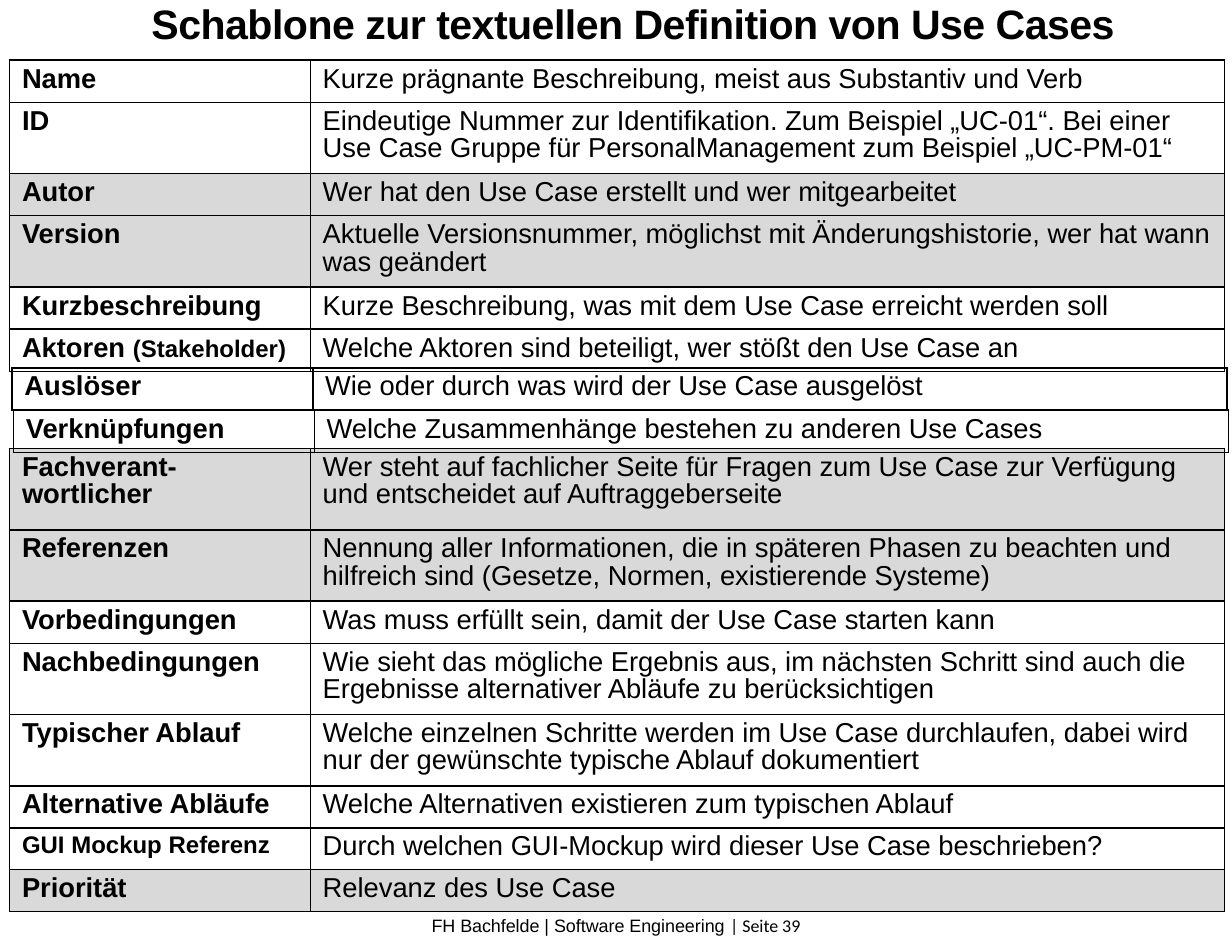
from dataclasses import dataclass

from lxml import etree
from pptx import Presentation
from pptx.dml.color import RGBColor
from pptx.enum.text import MSO_ANCHOR, MSO_AUTO_SIZE, PP_ALIGN
from pptx.oxml.ns import qn
from pptx.util import Cm, Pt

CENTER = PP_ALIGN.CENTER
TOP = MSO_ANCHOR.TOP
NO_AUTOFIT = MSO_AUTO_SIZE.NONE
TITLE_ONLY = 5


@dataclass(frozen=True)
class Theme:
    font: str = "Arial"
    page_font: str = "Calibri"
    ink: RGBColor = RGBColor(0, 0, 0)
    shade: RGBColor = RGBColor(0xD9, 0xD9, 0xD9)
    title: float = 24
    body: float = 16
    small: float = 14
    footer: float = 10.5
    border: float = 1


THEME = Theme()

# Table geometry in centimetres
COLUMNS = (6.2, 18.85)
ONE_LINE, TWO_LINES, TALL = 0.87, 1.47, 1.68

# Each section: left, top, rows of (label runs, description, height, shaded);
# a label run is a text and its size
BODY, SMALL = THEME.body, THEME.small
SECTIONS = [
    (0.2, 1.24, [
        ([("Name", BODY)],
         "Kurze prägnante Beschreibung, meist aus Substantiv und Verb", ONE_LINE, False),
        ([("ID", BODY)],
         "Eindeutige Nummer zur Identifikation. Zum Beispiel „UC-01“. Bei einer "
         "Use Case Gruppe für PersonalManagement zum Beispiel „UC-PM-01“", TWO_LINES, False),
        ([("Autor", BODY)],
         "Wer hat den Use Case erstellt und wer mitgearbeitet", ONE_LINE, True),
        ([("Version", BODY)],
         "Aktuelle Versionsnummer, möglichst mit Änderungshistorie, wer hat wann "
         "was geändert", TWO_LINES, True),
        ([("Kurzbeschreibung", BODY)],
         "Kurze Beschreibung, was mit dem Use Case erreicht werden soll", ONE_LINE, False),
        ([("Aktoren ", BODY), ("(Stakeholder)", SMALL)],
         "Welche Aktoren sind beteiligt, wer stößt den Use Case an", ONE_LINE, False),
    ]),
    (0.2, 9.25, [
        ([("Fachverant-wortlicher", BODY)],
         "Wer steht auf fachlicher Seite für Fragen zum Use Case zur Verfügung "
         "und entscheidet auf Auftraggeberseite", TALL, True),
        ([("Referenzen", BODY)],
         "Nennung aller Informationen, die in späteren Phasen zu beachten und "
         "hilfreich sind (Gesetze, Normen, existierende Systeme)", TWO_LINES, True),
        ([("Vorbedingungen", BODY)],
         "Was muss erfüllt sein, damit der Use Case starten kann", ONE_LINE, False),
        ([("Nachbedingungen", BODY)],
         "Wie sieht das mögliche Ergebnis aus, im nächsten Schritt sind auch die "
         "Ergebnisse alternativer Abläufe zu berücksichtigen", TWO_LINES, False),
        ([("Typischer Ablauf", BODY)],
         "Welche einzelnen Schritte werden im Use Case durchlaufen, dabei wird "
         "nur der gewünschte typische Ablauf dokumentiert", TWO_LINES, False),
        ([("Alternative Abläufe", BODY)],
         "Welche Alternativen existieren zum typischen Ablauf", ONE_LINE, False),
    ]),
    (0.28, 8.46, [
        ([("Verknüpfungen", BODY)],
         "Welche Zusammenhänge bestehen zu anderen Use Cases", ONE_LINE, False),
    ]),
    (0.25, 7.59, [
        ([("Auslöser", BODY)],
         "Wie oder durch was wird der Use Case ausgelöst", ONE_LINE, False),
    ]),
    (0.2, 17.07, [
        ([("GUI Mockup Referenz", SMALL)],
         "Durch welchen GUI-Mockup wird dieser Use Case beschrieben?", ONE_LINE, False),
    ]),
    (0.2, 17.93, [
        ([("Priorität", BODY)], "Relevanz des Use Case", ONE_LINE, True),
    ]),
]


def style_font(font, size, bold=False):
    font.name = THEME.font
    font.size = Pt(size)
    font.bold = bold
    font.color.rgb = THEME.ink


def place(shape, left, top, width, height):
    shape.left, shape.top = Cm(left), Cm(top)
    shape.width, shape.height = Cm(width), Cm(height)


def clear_frame(frame):
    """Remove insets and automatic fitting, and align text to the top."""
    frame.margin_left = frame.margin_right = frame.margin_top = frame.margin_bottom = 0
    frame.word_wrap = True
    frame.auto_size = NO_AUTOFIT
    frame.vertical_anchor = TOP


def add_title(slide, text):
    title = slide.shapes.title
    place(title, 0.84, -0.03, 24.41, 1.02)
    clear_frame(title.text_frame)
    paragraph = title.text_frame.paragraphs[0]
    paragraph.alignment = CENTER
    style_font(paragraph.font, THEME.title, bold=True)
    run = paragraph.add_run()
    run.text = text
    run.font._element.set("spc", "-30")


def add_footer(slide, course, page):
    footer = slide.shapes.add_textbox(0, Cm(18.87), Cm(25.4), Cm(0.5))
    clear_frame(footer.text_frame)
    paragraph = footer.text_frame.paragraphs[0]
    paragraph.alignment = CENTER
    style_font(paragraph.font, THEME.footer)
    for text, font_name in ((course, THEME.font), (page, THEME.page_font)):
        run = paragraph.add_run()
        run.text = text
        run.font.name = font_name


def add_borders(cell):
    properties = cell._tc.get_or_add_tcPr()
    for side in ("a:lnL", "a:lnR", "a:lnT", "a:lnB"):
        line = etree.SubElement(properties, qn(side), w=str(Pt(THEME.border)))
        fill = etree.SubElement(line, qn("a:solidFill"))
        etree.SubElement(fill, qn("a:srgbClr"), val=str(THEME.ink))


def fill_cell(cell, runs, bold, shaded):
    add_borders(cell)
    if shaded:
        cell.fill.solid()
        cell.fill.fore_color.rgb = THEME.shade
    else:
        cell.fill.background()
    paragraph = cell.text_frame.paragraphs[0]
    paragraph.line_spacing = 0.9
    main_size = runs[0][1]
    style_font(paragraph.font, main_size, bold)
    for text, size in runs:
        run = paragraph.add_run()
        run.text = text
        if size != main_size:
            run.font.size = Pt(size)


def add_section(slide, left, top, rows):
    height = sum(row[2] for row in rows)
    table = slide.shapes.add_table(len(rows), len(COLUMNS), Cm(left), Cm(top),
                                   Cm(sum(COLUMNS)), Cm(height)).table
    table.first_row = table.horz_banding = False
    for column, width in zip(table.columns, COLUMNS):
        column.width = Cm(width)
    for table_row, (label, description, row_height, shaded) in zip(table.rows, rows):
        table_row.height = Cm(row_height)
        label_cell, description_cell = table_row.cells
        fill_cell(label_cell, label, True, shaded)
        fill_cell(description_cell, [(description, THEME.body)], False, shaded)


def main():
    deck = Presentation()
    deck.slide_width, deck.slide_height = Cm(25.4), Cm(19.41)
    slide = deck.slides.add_slide(deck.slide_layouts[TITLE_ONLY])
    add_footer(slide, "FH Bachfelde | Software Engineering ", "| Seite 39")
    add_title(slide, "Schablone zur textuellen Definition von Use Cases")
    for left, top, rows in SECTIONS:
        add_section(slide, left, top, rows)
    deck.save("out.pptx")


main()
